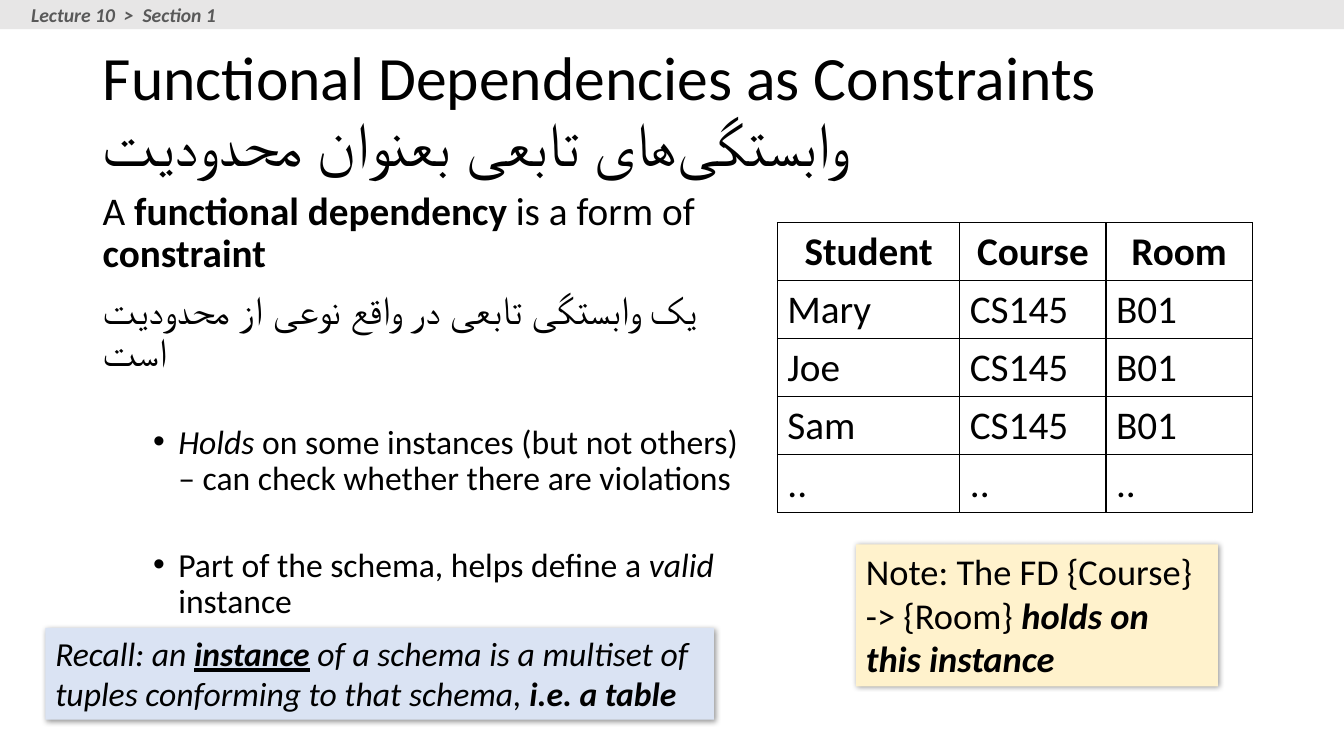
from dataclasses import dataclass

from lxml import etree
from pptx import Presentation
from pptx import util as u
from pptx.dml import color
from pptx.enum import shapes, text
from pptx.oxml import ns

FONT = "Calibri"
BLACK = "000000"
NON_JOINER = chr(0x200C)


@dataclass(frozen=True)
class Run:
    text: str
    bold: bool | None = None
    italic: bool | None = None
    underline: bool | None = None


@dataclass(frozen=True)
class BodyItem:
    runs: tuple[Run, ...]
    size: int = 28
    space_before: int = 10
    bullet: bool = False


@dataclass(frozen=True)
class Callout:
    box: tuple[float, float, float, float]
    fill: str
    size: int
    runs: tuple[Run, ...]


BODY = (
    BodyItem((Run("A "), Run("functional dependency ", bold=True),
              Run("is a form of "), Run("constraint", bold=True))),
    BodyItem((Run("یک وابستگی تابعی در واقع نوعی از محدودیت است"),)),
    BodyItem((Run("Holds", italic=True),
              Run(" on some instances (but not others) – can check whether there are violations")),
             24, 36, True),
    BodyItem((Run("Part of the schema, helps define a "), Run("valid", italic=True),
              Run(" instance")), 24, 36, True),
)

CALLOUTS = (
    Callout((8.49, 5.4, 3.59, 1.41), "FFF2CC", 26,
            (Run("Note: The FD {Course} -> {Room} "),
             Run("holds on this instance", bold=True, italic=True))),
    Callout((0.45, 6.23, 6.63, 0.91), "DAE3F3", 24,
            (Run("Recall: an ", italic=True),
             Run("instance", bold=True, italic=True, underline=True),
             Run(" of a schema is a multiset of tuples conforming to that schema, ", italic=True),
             Run("i.e. a table", bold=True, italic=True))),
)

COLUMN_WIDTHS = (1.81, 1.45, 1.45)
ROW_HEIGHT = 0.57
ROWS = (
    ("Student", "Course", "Room"),
    *((student, "CS145", "B01") for student in ("Mary", "Joe", "Sam")),
    ("..", "..", ".."),
)


def rgb(value: str) -> color.RGBColor:
    return color.RGBColor.from_string(value)


def inches(box: tuple[float, ...]) -> list[u.Inches]:
    return [u.Inches(length) for length in box]


def style(paragraph, size: int, fill: str = BLACK) -> None:
    font = paragraph.font
    font.name, font.size = FONT, u.Pt(size)
    font.color.rgb = rgb(fill)


def write(paragraph, runs: tuple[Run, ...]) -> None:
    for item in runs:
        run = paragraph.add_run()
        run.text = item.text
        run.font.bold = item.bold
        run.font.italic = item.italic
        run.font.underline = item.underline


def add_title(slide) -> None:
    title = slide.shapes.title
    title.left, title.top, title.width, title.height = inches((0.92, 0.4, 11.5, 1.45))
    frame = title.text_frame
    frame.vertical_anchor = text.MSO_ANCHOR.MIDDLE
    frame.auto_size = text.MSO_AUTO_SIZE.NONE
    paragraph = frame.paragraphs[0]
    paragraph.alignment = text.PP_ALIGN.LEFT
    paragraph.line_spacing = 0.9
    style(paragraph, 44)
    write(paragraph, (Run("Functional Dependencies as Constraints"),))
    paragraph.add_line_break()
    write(paragraph, (Run(f"وابستگی{NON_JOINER}های تابعی بعنوان محدودیت"),))


def add_body(slide) -> None:
    frame = slide.shapes.add_textbox(*inches((0.92, 1.85, 6.58, 4.38))).text_frame
    frame.word_wrap = True
    for index, item in enumerate(BODY):
        paragraph = frame.add_paragraph() if index else frame.paragraphs[0]
        paragraph.line_spacing = 0.9
        paragraph.space_before = u.Pt(item.space_before)
        if item.bullet:
            paragraph.level = 1
            properties = paragraph._p.get_or_add_pPr()
            properties.set("marL", str(u.Inches(0.75)))
            properties.set("indent", str(u.Inches(-0.25)))
            etree.SubElement(properties, ns.qn("a:buFont"), typeface="Arial")
            etree.SubElement(properties, ns.qn("a:buChar"), char="•")
        style(paragraph, item.size)
        write(paragraph, item.runs)


def add_border(cell) -> None:
    properties = cell._tc.get_or_add_tcPr()
    for side in ("lnL", "lnR", "lnT", "lnB"):
        line = etree.SubElement(properties, ns.qn(f"a:{side}"), w=str(u.Pt(1)))
        fill = etree.SubElement(line, ns.qn("a:solidFill"))
        etree.SubElement(fill, ns.qn("a:srgbClr"), val=BLACK)


def add_student_table(slide) -> None:
    box = inches((7.71, 2.21, sum(COLUMN_WIDTHS), ROW_HEIGHT * len(ROWS)))
    table = slide.shapes.add_table(len(ROWS), len(COLUMN_WIDTHS), *box).table
    table.first_row = table.horz_banding = False
    for column, width in zip(table.columns, COLUMN_WIDTHS):
        column.width = u.Inches(width)
    for row_index, values in enumerate(ROWS):
        is_header = row_index == 0
        for column_index, value in enumerate(values):
            cell = table.cell(row_index, column_index)
            add_border(cell)
            cell.fill.background()
            paragraph = cell.text_frame.paragraphs[0]
            paragraph.alignment = text.PP_ALIGN.CENTER if is_header else text.PP_ALIGN.LEFT
            style(paragraph, 28)
            paragraph.font.bold = is_header
            write(paragraph, (Run(value),))


def add_rectangle(slide, box: tuple[float, ...], fill: str):
    shape = slide.shapes.add_shape(shapes.MSO_SHAPE.RECTANGLE, *inches(box))
    shape.fill.solid()
    shape.fill.fore_color.rgb = rgb(fill)
    shape.line.fill.background()
    shape.shadow.inherit = False
    return shape


def add_callout(slide, callout: Callout) -> None:
    shape = add_rectangle(slide, callout.box, callout.fill)
    effects = shape._element.spPr.find(ns.qn("a:effectLst"))
    shadow = etree.SubElement(effects, ns.qn("a:outerShdw"), blurRad=str(u.Pt(4)),
                              dist=str(u.Pt(1)), dir="2700000", algn="tl", rotWithShape="0")
    tint = etree.SubElement(shadow, ns.qn("a:srgbClr"), val=BLACK)
    etree.SubElement(tint, ns.qn("a:alpha"), val="40000")
    frame = shape.text_frame
    frame.word_wrap = True
    frame.auto_size = text.MSO_AUTO_SIZE.SHAPE_TO_FIT_TEXT
    frame.vertical_anchor = text.MSO_ANCHOR.TOP
    paragraph = frame.paragraphs[0]
    paragraph.alignment = text.PP_ALIGN.LEFT
    style(paragraph, callout.size)
    write(paragraph, callout.runs)


def add_header(slide) -> None:
    add_rectangle(slide, (0, 0, 13.33, 0.29), "E7E6E6")
    frame = slide.shapes.add_textbox(*inches((0.21, -0.02, 2.1, 0.34))).text_frame
    frame.word_wrap = False
    frame.auto_size = text.MSO_AUTO_SIZE.SHAPE_TO_FIT_TEXT
    paragraph = frame.paragraphs[0]
    style(paragraph, 14, "595959")
    paragraph.font.bold = paragraph.font.italic = True
    write(paragraph, (Run("Lecture 10  >  Section 1"),))


def main() -> None:
    presentation = Presentation()
    presentation.slide_width, presentation.slide_height = inches((13.33, 7.5))
    slide = presentation.slides.add_slide(presentation.slide_layouts[5])
    add_title(slide)
    add_student_table(slide)
    add_body(slide)
    add_header(slide)
    for callout in CALLOUTS:
        add_callout(slide, callout)
    presentation.save("out.pptx")


if __name__ == "__main__":
    main()
